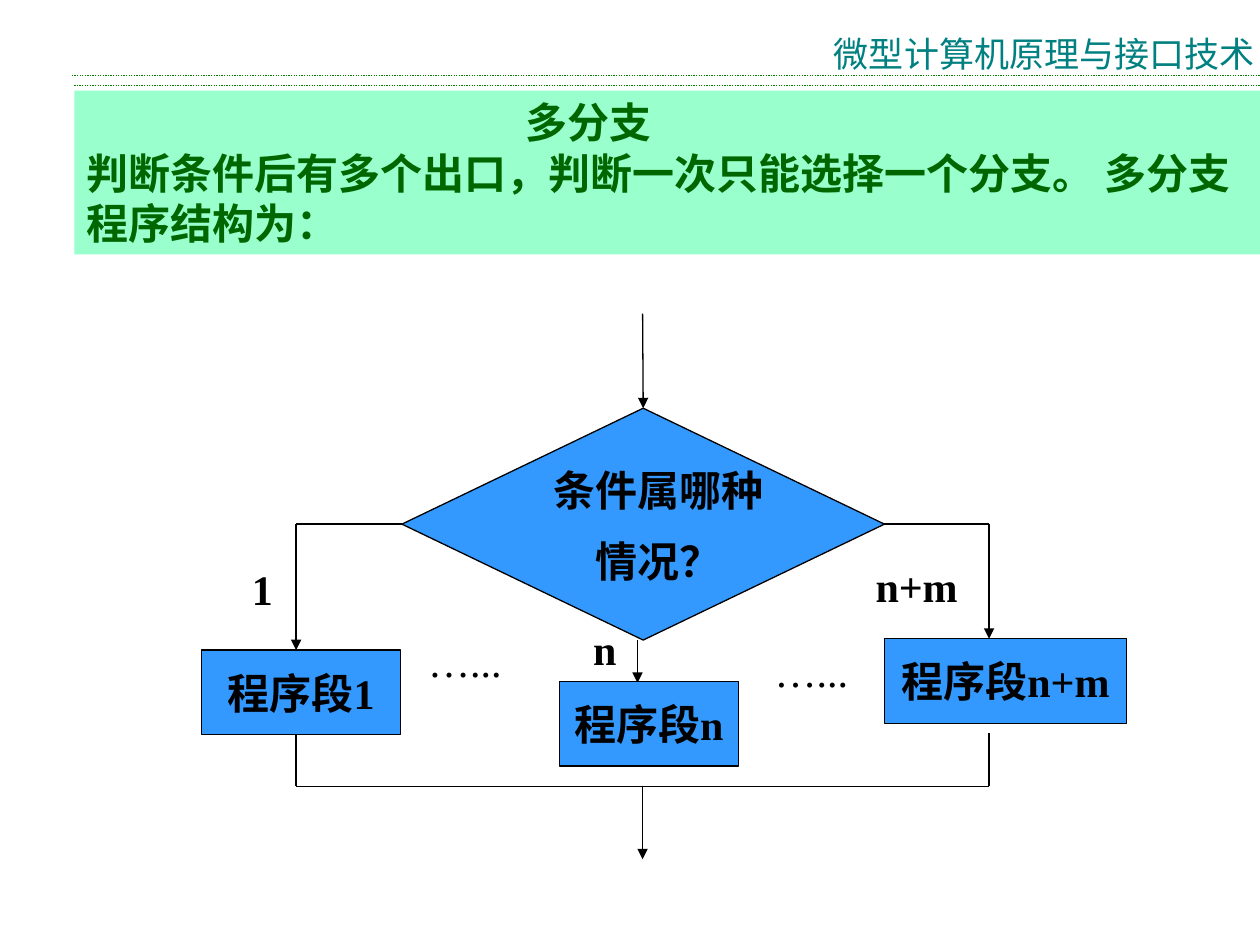
from dataclasses import dataclass
from typing import Optional

from lxml import etree
from pptx import Presentation
from pptx.dml.color import RGBColor
from pptx.enum.dml import MSO_LINE
from pptx.enum.shapes import MSO_CONNECTOR, MSO_SHAPE
from pptx.enum.text import MSO_ANCHOR, PP_ALIGN
from pptx.oxml.ns import qn
from pptx.util import Inches, Pt

STRAIGHT = MSO_CONNECTOR.STRAIGHT
RECTANGLE = MSO_SHAPE.RECTANGLE
DECISION = MSO_SHAPE.FLOWCHART_DECISION
MIDDLE, TOP = MSO_ANCHOR.MIDDLE, MSO_ANCHOR.TOP
LEFT, CENTER = PP_ALIGN.LEFT, PP_ALIGN.CENTER
ROUND_DOT = MSO_LINE.ROUND_DOT

COLORS = {
    "rule": "008000",
    "course": "008080",
    "banner": "99FFCC",
    "banner_text": "006600",
    "block": "3399FF",
    "ink": "000000",
}
SERIF = "Times New Roman"
SANS = "Noto Sans CJK SC"
LEFT_X, MID_X, RIGHT_X = 2.35, 5.1, 7.85
BRANCH_Y, EXIT_Y, JOIN_Y = 4.16, 5.82, 6.24


@dataclass
class Box:
    x: float
    y: float
    w: float
    h: float


@dataclass
class Style:
    size: int = 24
    font: str = SERIF
    color: str = "ink"
    bold: bool = True
    align: PP_ALIGN = CENTER
    line_spacing: Optional[float] = None
    space_before: int = 0


@dataclass
class Label:
    text: str
    box: Box
    bold: bool = True


@dataclass
class Flow:
    x1: float
    y1: float
    x2: float
    y2: float
    arrow: bool = False
    begin_site: Optional[int] = None
    end_site: Optional[int] = None


def rgb(name: str) -> RGBColor:
    return RGBColor.from_string(COLORS[name])


def write(sp, lines: list[str], style: Style, wrap: bool = False, anchor=MIDDLE) -> None:
    tf = sp.text_frame
    tf.word_wrap = wrap
    tf.vertical_anchor = anchor
    for i, line in enumerate(lines):
        p = tf.paragraphs[0] if i == 0 else tf.add_paragraph()
        p.add_run().text = line
        p.alignment = style.align
        if style.line_spacing:
            p.line_spacing = style.line_spacing
        if i and style.space_before:
            p.space_before = Pt(style.space_before)
        p.font.size = Pt(style.size)
        p.font.bold = style.bold
        p.font.name = style.font
        p.font.color.rgb = rgb(style.color)


def add_text(s, box: Box, lines: list[str], style: Style, wrap: bool = False, anchor=MIDDLE):
    sp = s.shapes.add_textbox(Inches(box.x), Inches(box.y), Inches(box.w), Inches(box.h))
    write(sp, lines, style, wrap, anchor)
    return sp


def add_block(s, preset, box: Box, fill: str, line: Optional[str] = "ink"):
    sp = s.shapes.add_shape(preset, Inches(box.x), Inches(box.y), Inches(box.w), Inches(box.h))
    sp.shadow.inherit = False
    sp.fill.solid()
    sp.fill.fore_color.rgb = rgb(fill)
    if line:
        sp.line.color.rgb = rgb(line)
        sp.line.width = Pt(0.75)
    else:
        sp.line.fill.background()
    return sp


def add_line(s, flow: Flow, color: str = "ink", target=None):
    c = s.shapes.add_connector(
        STRAIGHT, Inches(flow.x1), Inches(flow.y1), Inches(flow.x2), Inches(flow.y2)
    )
    c.line.color.rgb = rgb(color)
    c.line.width = Pt(0.75)
    if flow.arrow:
        etree.SubElement(c.line._get_or_add_ln(), qn("a:tailEnd"), type="triangle")
    etree.SubElement(c._element.spPr, qn("a:effectLst"))
    if flow.begin_site is not None:
        c.begin_connect(target, flow.begin_site)
    if flow.end_site is not None:
        c.end_connect(target, flow.end_site)
    return c


def add_header(s) -> None:
    for x, y in ((0.59, 0.68), (0.57, 0.6)):
        add_line(s, Flow(x, y, 10, y), "rule").line.dash_style = ROUND_DOT
    course = add_text(
        s, Box(6.52, 0.21, 3.48, 0.45), ["微型计算机原理与接口技术"],
        Style(20, SANS, "course", False, LEFT), anchor=TOP,
    )
    course.text_frame.margin_right = Inches(0)
    font = course.text_frame.paragraphs[0]._p.pPr.find(qn("a:defRPr"))
    etree.SubElement(font, qn("a:ea"), typeface=SANS)


def add_banner(s) -> None:
    banner = add_block(s, RECTANGLE, Box(0.59, 0.72, 9.41, 1.3), "banner", None)
    lines = ["多分支", "判断条件后有多个出口，判断一次只能选择一个分支。 多分支程序结构为："]
    write(banner, lines, Style(color="banner_text", align=LEFT), wrap=True)
    title = banner.text_frame.paragraphs[0]._p.pPr
    title.set("marL", str(Inches(3.48)))
    title.set("indent", "0")


def add_flowchart(s) -> None:
    decision = add_block(s, DECISION, Box(3.19, 3.24, 3.83, 1.84), "block")
    add_text(
        s, Box(3.85, 3.68, 2.75, 1.03), ["条件属哪种", "情况？"],
        Style(line_spacing=0.9, space_before=15), wrap=True,
    )

    flows = [
        Flow(MID_X, 2.49, MID_X, 3.24, arrow=True, end_site=0),
        Flow(3.19, BRANCH_Y, LEFT_X, BRANCH_Y, begin_site=1),
        Flow(LEFT_X, BRANCH_Y, LEFT_X, 5.16, arrow=True),
        Flow(7.02, BRANCH_Y, RIGHT_X, BRANCH_Y, begin_site=3),
        Flow(RIGHT_X, BRANCH_Y, RIGHT_X, 5.07, arrow=True),
        Flow(5.06, 5.08, 5.06, 5.42, arrow=True),
        Flow(LEFT_X, EXIT_Y, LEFT_X, JOIN_Y),
        Flow(RIGHT_X, EXIT_Y, RIGHT_X, JOIN_Y),
        Flow(LEFT_X, JOIN_Y, RIGHT_X, JOIN_Y),
        Flow(MID_X, JOIN_Y, MID_X, 6.82, arrow=True),
    ]
    for flow in flows:
        add_line(s, flow, target=decision)

    segments = [
        Label("程序段1", Box(1.6, 5.16, 1.58, 0.67)),
        Label("程序段n", Box(4.44, 5.41, 1.42, 0.67)),
        Label("程序段n+m", Box(7.02, 5.07, 1.92, 0.67)),
    ]
    for segment in segments:
        write(add_block(s, RECTANGLE, segment.box, "block"), [segment.text], Style())

    labels = [
        Label("1", Box(1.9, 4.42, 0.36, 0.5)),
        Label("n", Box(4.61, 4.9, 0.38, 0.5)),
        Label("n+m", Box(6.85, 4.4, 0.85, 0.5)),
        Label("…...", Box(3.3, 4.99, 0.78, 0.5), bold=False),
        Label("…...", Box(5.94, 5.07, 1, 0.5), bold=False),
    ]
    for label in labels:
        add_text(s, label.box, [label.text], Style(bold=label.bold))


def main() -> None:
    prs = Presentation()
    prs.slide_width, prs.slide_height = Inches(10), Inches(7.5)
    s = prs.slides.add_slide(prs.slide_layouts[6])
    add_header(s)
    add_banner(s)
    add_flowchart(s)
    prs.save("out.pptx")


if __name__ == "__main__":
    main()
